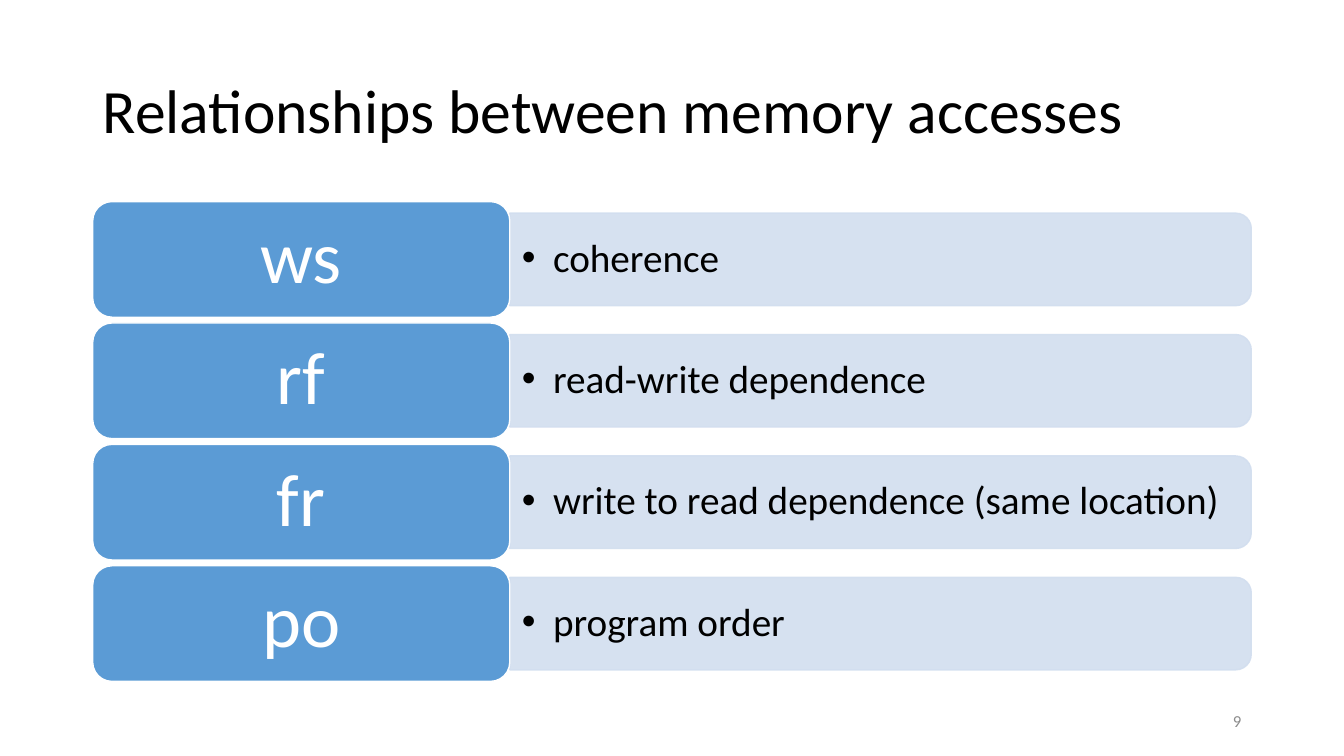
from lxml.etree import SubElement
from pptx import Presentation
from pptx.dml.color import RGBColor
from pptx.enum.shapes import MSO_SHAPE as Shape
from pptx.enum.text import MSO_ANCHOR as Anchor, PP_ALIGN as Align
from pptx.oxml.ns import qn
from pptx.util import Emu, Inches, Pt

COLORS = {
    "text": "000000",
    "label": "5B9BD5",
    "bar": "D2DEEF",
    "white": "FFFFFF",
    "number": "8C8C8C",
}
RELATIONS = [
    ("ws", "coherence"),
    ("rf", "read-write dependence"),
    ("fr", "write to read dependence (same location)"),
    ("po", "program order"),
]
LABEL_SHARE = 0.36
BAR_SHARE = 0.8
GAP_SHARE = 0.05


def rgb(name):
    """Return the named colour."""
    return RGBColor.from_string(COLORS[name])


def place(box):
    """Turn a box in inches into slide lengths."""
    return [Inches(length) for length in box]


def write(shape, text, size, color="text", align=Align.LEFT, spacing=0.9,
          insets=(0.1, 0.05), bullet_indent=None):
    """Write one formatted paragraph into a shape."""
    frame = shape.text_frame
    frame.word_wrap = True
    frame.vertical_anchor = Anchor.MIDDLE
    frame.margin_left = frame.margin_right = Inches(insets[0])
    frame.margin_top = frame.margin_bottom = Inches(insets[1])
    para = frame.paragraphs[0]
    para.alignment = align
    para.line_spacing = spacing
    if bullet_indent:
        props = para._p.get_or_add_pPr()
        props.set("marL", str(Inches(bullet_indent)))
        props.set("indent", str(-Inches(bullet_indent)))
        SubElement(props, qn("a:buFont")).set("typeface", "Arial")
        SubElement(props, qn("a:buChar")).set("char", "•")
    span = para.add_run()
    span.text = text
    span.font.name = "Calibri"
    span.font.size = Pt(size)
    span.font.color.rgb = rgb(color)


def add_text(page, box, text, **style):
    """Add a text box."""
    write(page.shapes.add_textbox(*place(box)), text, **style)


def add_panel(page, kind, box, fill, line):
    """Add a filled shape with a thin outline."""
    panel = page.shapes.add_shape(kind, *place(box))
    panel.shadow.inherit = False
    panel.fill.solid()
    panel.fill.fore_color.rgb = rgb(fill)
    panel.line.color.rgb = rgb(line)
    panel.line.width = Pt(1)
    return panel


def add_bar(page, box, text):
    """Add a translucent bar rounded on its right, with a bulleted text."""
    left, top, width, height = box
    shift = (width - height) / 2
    upright = (left + shift, top - shift, height, width)
    bar = add_panel(page, Shape.ROUND_2_SAME_RECTANGLE, upright, "bar", "bar")
    bar.rotation = 90
    for color in bar._element.spPr.iter(qn("a:srgbClr")):
        SubElement(color, qn("a:alpha")).set("val", "90000")
    add_text(page, box, text, size=28, insets=(0.12, 0.06), bullet_indent=0.31)


def add_relation(page, box, name, meaning):
    """Add one row: a label and the bar beside it."""
    left, top, width, height = box
    label_width = width * LABEL_SHARE
    bar_height = height * BAR_SHARE
    bar_top = top + (height - bar_height) / 2
    add_bar(page, (left + label_width, bar_top, width - label_width, bar_height), meaning)
    label = add_panel(page, Shape.ROUNDED_RECTANGLE,
                      (left, top, label_width, height), "label", "white")
    write(label, name, size=53, color="white", align=Align.CENTER, insets=(0.22, 0.11))


def add_relations(page, box):
    """Stack all rows evenly in the box."""
    left, top, width, height = box
    count = len(RELATIONS)
    row_height = height / (count + (count - 1) * GAP_SHARE)
    for row, (name, meaning) in enumerate(RELATIONS):
        row_top = top + row * row_height * (1 + GAP_SHARE)
        add_relation(page, (left, row_top, width, row_height), name, meaning)


def main():
    """Build and save the slide."""
    deck = Presentation()
    deck.slide_width, deck.slide_height = Emu(12192000), Inches(7.5)
    page = deck.slides.add_slide(deck.slide_layouts[6])
    width, height = deck.slide_width.inches, deck.slide_height.inches
    margin = 0.92
    content = width - 2 * margin
    add_text(page, (margin, 0.4, content, 1.45),
             "Relationships between memory accesses", size=44)
    add_relations(page, (margin, 2, content, 4.76))
    add_text(page, (width - margin - 3, height - 0.55, 3, 0.4), "9", size=12,
             color="number", align=Align.RIGHT, spacing=1.0)
    deck.save("out.pptx")


if __name__ == "__main__":
    main()
